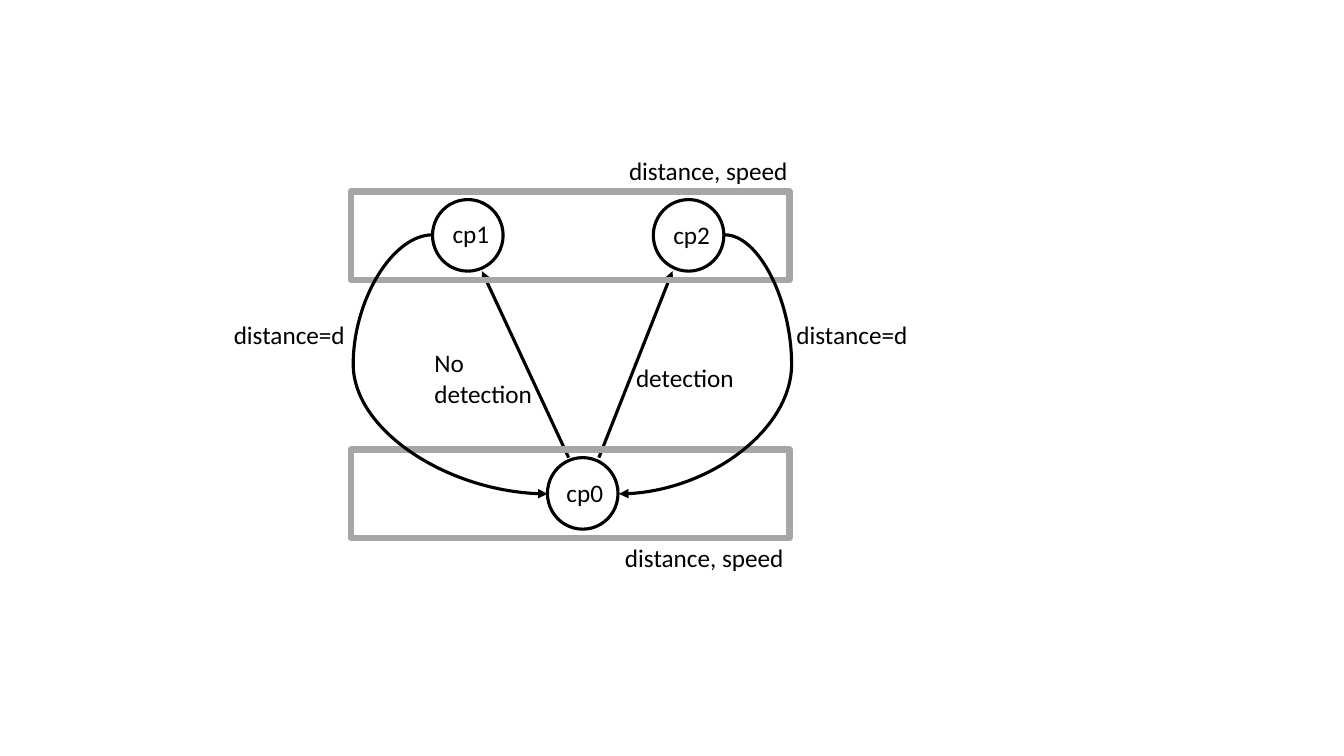
from lxml import etree
from pptx import Presentation
from pptx import util as u
from pptx.dml.color import RGBColor
from pptx.enum import shapes, text
from pptx.oxml import ns

BLACK = RGBColor(0, 0, 0)
WHITE = RGBColor(255, 255, 255)
GREY = RGBColor(0xA6, 0xA6, 0xA6)
KIND = shapes.MSO_SHAPE
LINK = shapes.MSO_CONNECTOR


def write(frame, words, size=18, font="Calibri", color=BLACK):
    run = frame.paragraphs[0].add_run()
    run.text = words
    run.font.size = u.Pt(size)
    run.font.name = font
    run.font.color.rgb = color


class Chart:
    def __init__(self, slide):
        self.items = slide.shapes
        self.width = 2.25

    def stroke(self, item, color, width):
        item.line.color.rgb = color
        item.line.width = u.Pt(width)

    def shape(self, kind, box, color, width, fill=None):
        item = self.items.add_shape(kind, *map(u.Inches, box))
        item.shadow.inherit = False
        if fill is None:
            item.fill.background()
        else:
            item.fill.solid()
            item.fill.fore_color.rgb = fill
        self.stroke(item, color, width)

    def state(self, left, top):
        self.shape(KIND.OVAL, (left, top, 0.7, 0.71), BLACK, self.width, WHITE)

    def frame(self, top):
        self.shape(KIND.RECTANGLE, (3.48, top, 4.35, 0.88), GREY, 4.5)

    def arrow(self, start, end, bend=None):
        kind = LINK.STRAIGHT if bend is None else LINK.CURVE
        item = self.items.add_connector(kind, *map(u.Inches, start + end))
        self.stroke(item, BLACK, self.width)
        props = item._element.spPr
        etree.SubElement(props.find(ns.qn("a:ln")), ns.qn("a:tailEnd"), type="triangle")
        etree.SubElement(props, ns.qn("a:effectLst"))
        if bend is not None:
            guides = props.find(ns.qn("a:prstGeom")).get_or_add_avLst()
            etree.SubElement(guides, ns.qn("a:gd"), name="adj1",
                             fmla=f"val {round(bend * 100000)}")

    def label(self, words, left, top, width, height=0.4):
        box = self.items.add_textbox(*map(u.Inches, (left, top, width, height)))
        box.text_frame.word_wrap = True
        box.text_frame.auto_size = text.MSO_AUTO_SIZE.SHAPE_TO_FIT_TEXT
        write(box.text_frame, words)


deck = Presentation()
deck.slide_width = u.Inches(13.33)
deck.slide_height = u.Inches(7.5)
chart = Chart(deck.slides.add_slide(deck.slide_layouts[6]))

for spot in ((5.43, 4.54), (4.29, 1.98), (6.48, 1.98)):
    chart.state(*spot)

chart.arrow((5.64, 4.54), (4.78, 2.69))
chart.arrow((5.94, 4.54), (6.67, 2.69))

for top in (1.9, 4.46):
    chart.frame(top)

chart.arrow((4.29, 2.33), (5.43, 4.9), bend=-0.69)
chart.arrow((7.19, 2.33), (6.14, 4.9), bend=-0.63)

for name, left, top in (("cp0", 5.52, 4.69), ("cp1", 4.39, 2.12), ("cp2", 6.58, 2.13)):
    chart.label(name, left, top, 0.82)

chart.label("detection", 6.21, 3.55, 1.22)
chart.label("No detection", 4.21, 3.4, 1.22, 0.71)
for left in (2.22, 7.8):
    chart.label("distance=d", left, 3.12, 1.35)
for left, top in ((6.1, 5.33), (6.14, 1.49)):
    chart.label("distance, speed", left, top, 1.89)

deck.save("out.pptx")
